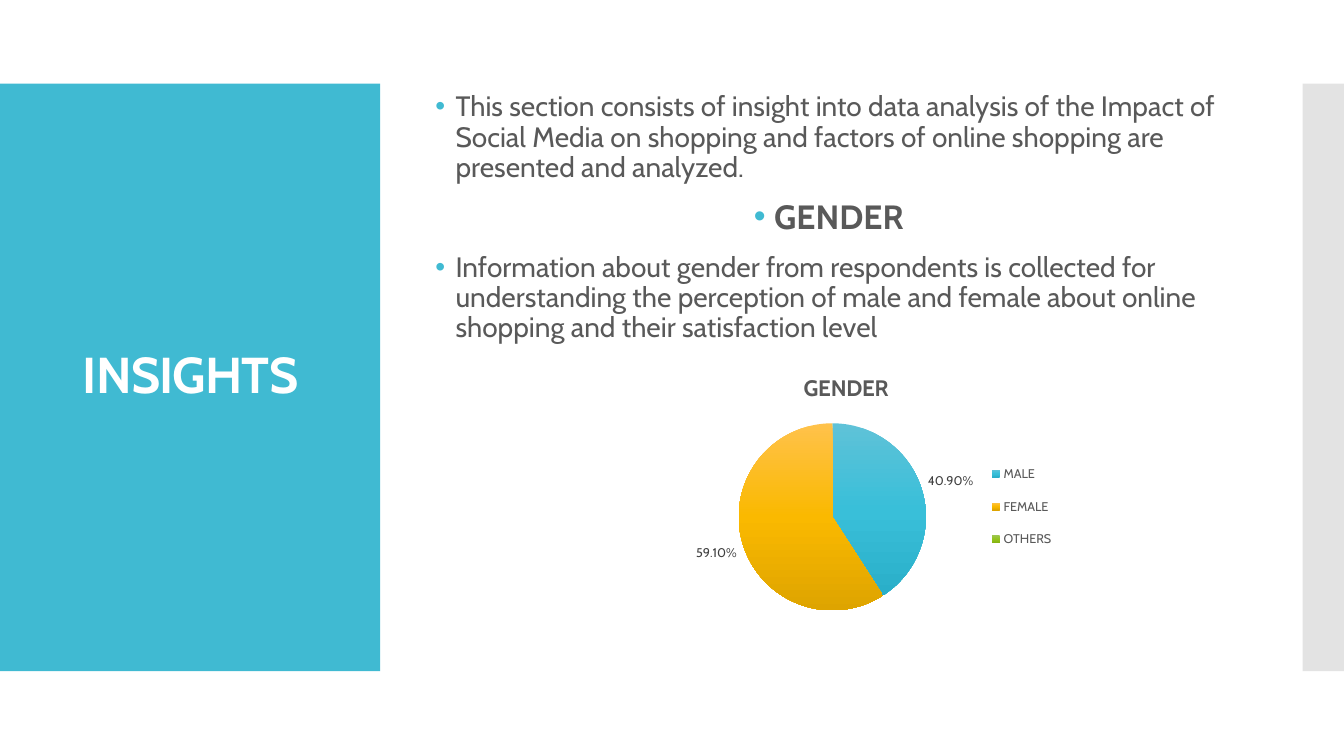
import pptx
import pptx.chart.data
import pptx.dml.color
import pptx.enum.chart
import pptx.enum.shapes
import pptx.enum.text
import pptx.oxml
import pptx.oxml.ns
import pptx.util
from lxml import etree

Inches, Pt = pptx.util.Inches, pptx.util.Pt
ALIGN = pptx.enum.text.PP_ALIGN
FONT = "Cabin"
COLORS = {"accent": "40BAD2", "strip": "C8C8C8", "white": "FFFFFF",
          "text": "595959", "label": "404040"}
SLICES = [
    ("MALE", 0.409, ("5FC2D8", "39BFD9", "2AAFC9")),
    ("FEMALE", 0.591, ("FFC24B", "FAB900", "DEA400")),
    ("OTHERS", None, ("9DC650", "93C31B", "86B412")),
]
PARAGRAPHS = [
    ("This section consists of insight into data analysis of the Impact of Social Media "
     "on shopping and factors of online shopping are presented and analyzed.", False),
    ("GENDER", True),
    ("Information about gender from respondents is collected for understanding the "
     "perception of male and female about online shopping and their satisfaction level", False),
]


def rgb(name):
    return pptx.dml.color.RGBColor.from_string(COLORS[name])


def set_font(font, size, color, bold=False):
    font.name, font.size, font.bold = FONT, Pt(size), bold
    font.color.rgb = rgb(color)


def add_xml(parent, tag, **attributes):
    return etree.SubElement(parent, pptx.oxml.ns.qn(tag), attributes)


def add_panel(slide, box, color):
    shape = slide.shapes.add_shape(
        pptx.enum.shapes.MSO_SHAPE.RECTANGLE, *map(Inches, box))
    shape.shadow.inherit = False
    shape.fill.solid()
    shape.fill.fore_color.rgb = rgb(color)
    shape.line.fill.background()
    return shape


def add_side_panel(slide, box):
    """Coloured panel with the slide title centred on it."""
    left, top, width, height = box
    panel = add_panel(slide, box, "accent")
    title = slide.shapes.title
    panel._element.addnext(title._element)
    title.left, title.top = Inches(left + 0.28), Inches(top + 0.4)
    title.width, title.height = Inches(width - 0.55), Inches(height - 0.8)
    title.text_frame.text = "INSIGHTS"
    title.text_frame.vertical_anchor = pptx.enum.text.MSO_ANCHOR.MIDDLE
    paragraph = title.text_frame.paragraphs[0]
    paragraph.alignment, paragraph.line_spacing = ALIGN.CENTER, 0.9
    set_font(paragraph.font, 36, "white", True)
    paragraph.runs[0].font._element.set("spc", "-60")


def add_edge_strip(slide, box):
    strip = add_panel(slide, box, "strip")
    color = strip._element.spPr.find(".//" + pptx.oxml.ns.qn("a:srgbClr"))
    add_xml(color, "a:alpha", val="50000")


def add_bullet(paragraph):
    properties = paragraph._element.get_or_add_pPr()
    properties.set("marL", str(Inches(0.2)))
    properties.set("indent", str(-Inches(0.2)))
    bullet_color = add_xml(properties, "a:buClr")
    add_xml(bullet_color, "a:srgbClr", val=COLORS["accent"])
    add_xml(properties, "a:buFont", typeface="Arial")
    add_xml(properties, "a:buChar", char="•")


def add_body(slide, box):
    frame = slide.shapes.add_textbox(*map(Inches, box)).text_frame
    frame.word_wrap = True
    frame.margin_top = 0
    for index, (text, is_heading) in enumerate(PARAGRAPHS):
        paragraph = frame.add_paragraph() if index else frame.paragraphs[0]
        paragraph.text = text
        paragraph.line_spacing = 0.9
        paragraph.space_before = Pt(12 if index else 0)
        paragraph.alignment = ALIGN.CENTER if is_heading else ALIGN.LEFT
        add_bullet(paragraph)
        set_font(paragraph.font, 24 if is_heading else 20, "text", is_heading)


def set_layout(element, inner=False, **fractions):
    """Place a chart part by fractions of the chart's size."""
    for old in element.findall(pptx.oxml.ns.qn("c:layout")):
        element.remove(old)
    layout = pptx.oxml.parse_xml(f"<c:layout {pptx.oxml.ns.nsdecls('c')}/>")
    manual = add_xml(layout, "c:manualLayout")
    if inner:
        add_xml(manual, "c:layoutTarget", val="inner")
    for mode in ("xMode", "yMode"):
        add_xml(manual, f"c:{mode}", val="edge")
    for key, value in fractions.items():
        add_xml(manual, f"c:{key}", val=str(value))
    return layout


def fill_slices(chart):
    points = chart.plots[0].series[0].points
    for index, (_, _, stops) in enumerate(SLICES):
        points[index].format.fill.solid()
    solids = chart._chartSpace.xpath(".//c:dPt/c:spPr/a:solidFill")
    for solid, (_, _, stops) in zip(solids, SLICES):
        gradient = pptx.oxml.parse_xml(
            f"<a:gradFill {pptx.oxml.ns.nsdecls('a')} rotWithShape='1'/>")
        stop_list = add_xml(gradient, "a:gsLst")
        for position, color in zip((0, 50000, 100000), stops):
            stop = add_xml(stop_list, "a:gs", pos=str(position))
            add_xml(stop, "a:srgbClr", val=color)
        add_xml(gradient, "a:lin", ang="5400000", scaled="0")
        solid.getparent().replace(solid, gradient)


def add_gender_chart(slide, box):
    data = pptx.chart.data.CategoryChartData(number_format="0.00%")
    data.categories = [name for name, _, _ in SLICES]
    data.add_series("Series 1", [value for _, value, _ in SLICES])
    chart = slide.shapes.add_chart(
        pptx.enum.chart.XL_CHART_TYPE.PIE, *map(Inches, box), data).chart
    chart.font.name, chart.font.size = FONT, Pt(10)

    chart.has_title = True
    title = chart.chart_title
    title.text_frame.text = "GENDER"
    set_font(title.text_frame.paragraphs[0].font, 16, "text", True)
    title._element.find(pptx.oxml.ns.qn("c:tx")).addnext(
        set_layout(title._element, x=0.36, y=0.04))
    title.include_in_layout = False

    chart.has_legend = True
    legend = chart.legend
    legend.position = pptx.enum.chart.XL_LEGEND_POSITION.RIGHT
    legend.include_in_layout = False
    set_font(legend.font, 9, "text")
    legend._element.find(pptx.oxml.ns.qn("c:legendPos")).addnext(
        set_layout(legend._element, x=0.75, y=0.31, w=0.17, h=0.39))

    plot = chart.plots[0]
    plot.vary_by_categories = True
    plot_area = plot._element.getparent()
    plot_area.insert(0, set_layout(plot_area, True, x=0.23, y=0.21, w=0.4, h=0.66))
    fill_slices(chart)
    labels = plot.series[0].data_labels
    labels.show_value = True
    labels.number_format, labels.number_format_is_linked = "0.00%", False
    labels.position = pptx.enum.chart.XL_LABEL_POSITION.OUTSIDE_END
    set_font(labels.font, 9, "label")


def main():
    presentation = pptx.Presentation()
    presentation.slide_width, presentation.slide_height = Inches(13.33), Inches(7.5)
    slide = presentation.slides.add_slide(presentation.slide_layouts[5])
    add_side_panel(slide, (0, 0.83, 3.77, 5.83))
    add_edge_strip(slide, (12.92, 0.83, 0.41, 5.83))
    add_body(slide, (4.22, 0.92, 8, 2.6))
    add_gender_chart(slide, (6.26, 3.54, 4.64, 2.94))
    presentation.save("out.pptx")


if __name__ == "__main__":
    main()
